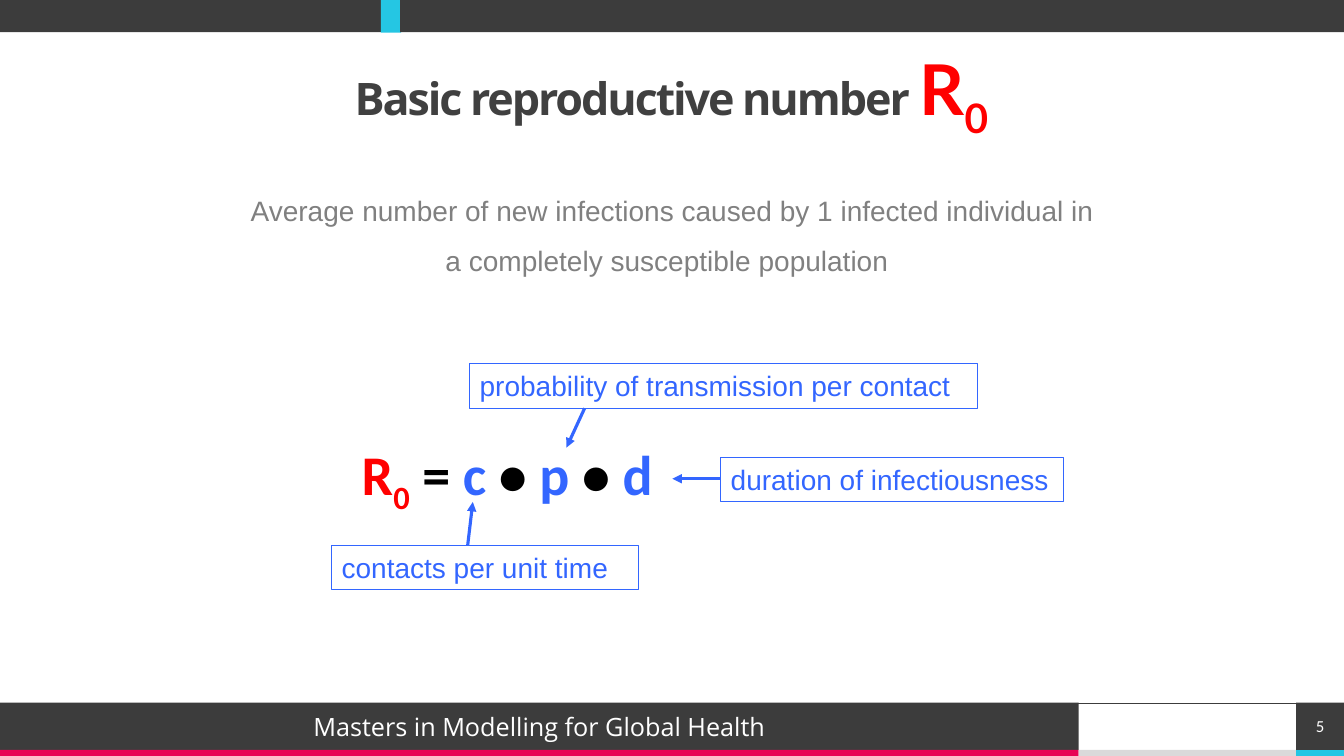
"""Build the slide that explains the basic reproductive number."""
from pptx import Presentation
from pptx.dml.color import RGBColor as Rgb
from pptx.enum.shapes import MSO_CONNECTOR as Link, MSO_SHAPE as Kind
from pptx.enum.text import MSO_ANCHOR as Anchor, PP_ALIGN as Align
from pptx.oxml.ns import qn
from pptx.util import Inches, Pt
from lxml.etree import SubElement as Sub

theme = {
    "dark": "3C3C3C", "cyan": "25C6E3", "pink": "E80554", "pale": "DADADA",
    "ink": "404040", "grey": "808080", "blue": "3366FF", "red": "FF0000",
    "black": "000000", "white": "FFFFFF",
    "huge": 50, "math": 40, "head": 32, "body": 20, "foot": 18, "page": 12,
}

deck = Presentation()
deck.slide_width, deck.slide_height = Inches(13.33), Inches(7.5)
slide = deck.slides.add_slide(deck.slide_layouts[6])
wide, high = deck.slide_width / 100, deck.slide_height / 100


def box(place, fill=None, edge=None, runs=(), inset=None, lead=None,
        side=Align.CENTER, anchor=Anchor.MIDDLE):
    """Add a rectangle placed in percent of the slide, with styled runs."""
    x, y, w, h = place
    shape = slide.shapes.add_shape(
        Kind.RECTANGLE, *(round(n) for n in (x * wide, y * high, w * wide, h * high)))
    shape.shadow.inherit = False
    for part, tint in ((shape.fill, fill), (shape.line.fill, edge)):
        if tint:
            part.solid()
            part.fore_color.rgb = Rgb.from_string(theme[tint])
        else:
            part.background()
    if edge:
        shape.line.width = Pt(0.75)
    frame = shape.text_frame
    look = {"word_wrap": True, "vertical_anchor": anchor}
    if inset is not None:
        look.update({"margin_" + s: inset for s in ("left", "top", "right", "bottom")})
    for key, val in look.items():
        setattr(frame, key, val)
    para = frame.paragraphs[0]
    for key, val in {"alignment": side, "line_spacing": lead}.items():
        setattr(para, key, val)
    for text, face, size, tint, bold, extra in runs:
        run = para.add_run()
        run.text = text
        for key, val in {"name": face, "size": Pt(theme[size]), "bold": bold}.items():
            setattr(run.font, key, val)
        run.font.color.rgb = Rgb.from_string(theme[tint])
        for key, val in extra.items():
            run.font._element.set(key, val)


def line(ends, tint, width, arrow=False):
    """Add a straight line between two points in percent of the slide."""
    x, y, u, v = ends
    link = slide.shapes.add_connector(
        Link.STRAIGHT, *(round(n) for n in (x * wide, y * high, u * wide, v * high)))
    link.line.color.rgb = Rgb.from_string(theme[tint])
    link.line.width = Pt(width)
    if arrow:
        Sub(link.line._get_or_add_ln(), qn("a:tailEnd"), type="triangle")
    Sub(link._element.spPr, qn("a:effectLst"))


foot, base, split, last = 92.93, 99.2, 80.25, 96.45
tall, thin = base - foot, 100 - base
box((0, foot, split, tall), "dark",
    runs=[("Masters in Modelling for Global Health", "Open Sans", "foot", "white", False, {})])
for left, right, tint in ((0, split, "pink"), (split, last, "pale"), (last, 100, "cyan")):
    box((left, base, right - left, thin), tint)
line((0, 93.07, 100, 93.07), "dark", 0.5)

for left, right, depth, tint in (
        (0, 28.35, 4.27, "dark"), (28.35, 29.85, 4.33, "cyan"), (29.78, 100, 4.27, "dark")):
    box((left, 0, right - left, depth), tint)

tight, low = {"spc": "-150"}, {"baseline": "-25000"}
box((17.63, 2.27, 64.65, 19.33), inset=0, lead=0.9, runs=[
    ("Basic reproductive number ", "Open Sans", "head", "ink", True, tight),
    ("R", "Lato", "huge", "red", True, tight),
    ("0", "Lato", "huge", "red", True, {**tight, **low})])
box((17.25, 24.93, 65.55, 13.07), anchor=Anchor.TOP, runs=[
    ("Average number of new infections caused by 1 infected individual in "
     "a completely susceptible population", "Arial", "body", "grey", False, {}),
    ("\t", "Arial", "head", "grey", True, {})])

notes = (
    ("contacts per unit time", (24.68, 72.13, 22.8), (34.8, 72.13, 35.18, 66.4)),
    ("probability of transmission per contact", (34.95, 48.13, 37.8), (43.5, 54, 42.15, 59.2)),
    ("duration of infectiousness", (53.63, 60.53, 25.5), (53.63, 63.33, 50.03, 63.33)),
)
for text, place, ends in notes:
    box((*place, 5.87), edge="blue", side=Align.LEFT, anchor=Anchor.TOP,
        runs=[(text, "Arial", "body", "blue", False, {})])
    line(ends, "blue", 2.25, True)

terms = (("R", "red", {}), ("0", "red", low), (" = ", "black", {}), ("c ", "blue", {}),
         ("• ", "black", {}), ("p ", "blue", {}), ("• ", "black", {}), ("d", "blue", {}))
box((26.18, 57.47, 44.25, 10.27), side=Align.LEFT, anchor=Anchor.TOP,
    runs=[(text, "Calibri", "math", tint, True, extra) for text, tint, extra in terms])
box((last, foot, 100 - last, tall), "dark", inset=0,
    runs=[("5", "Calibri", "page", "white", False, {})])

deck.save("out.pptx")
